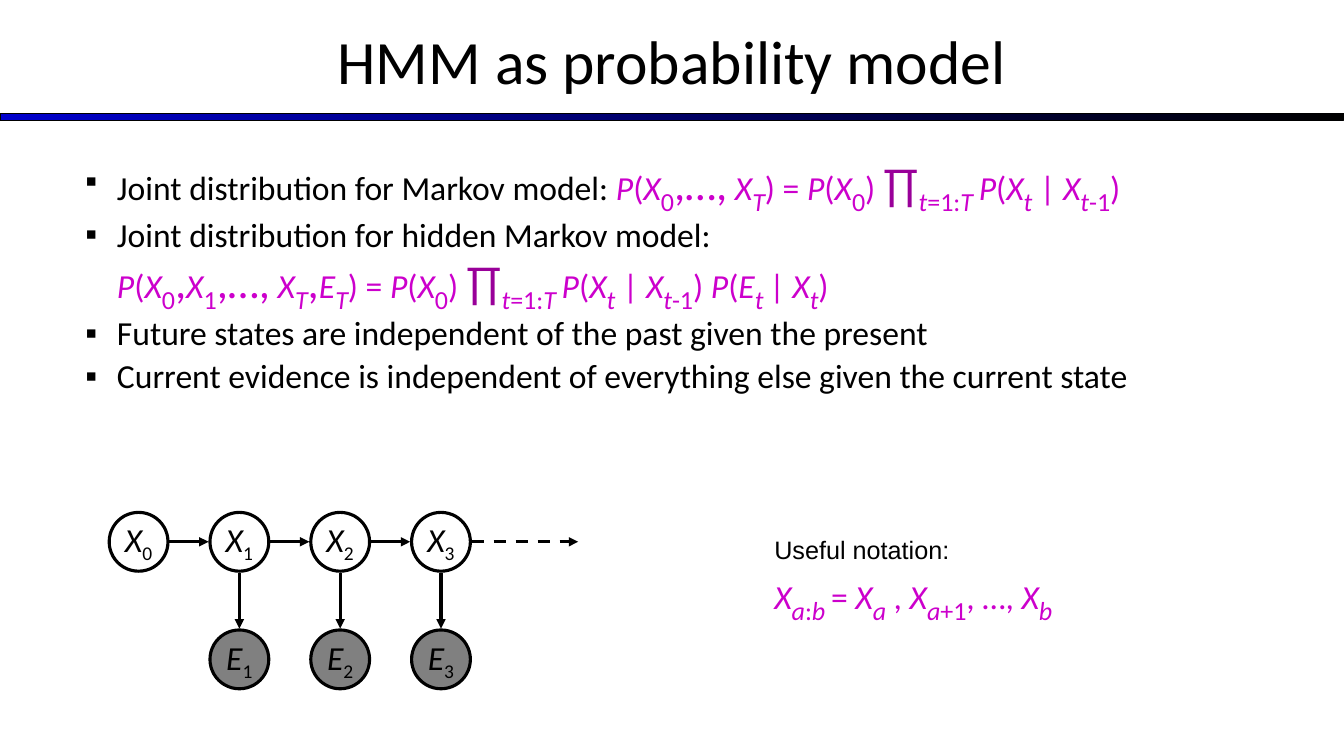
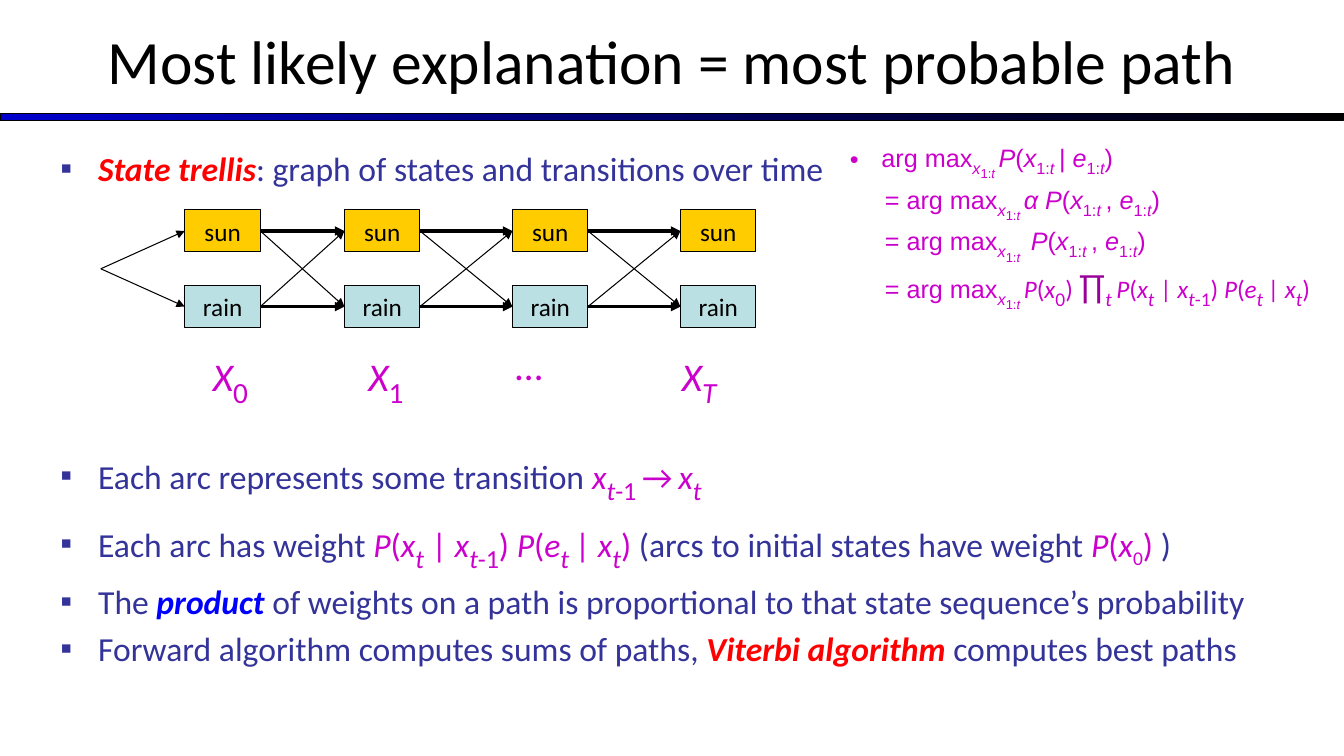
from dataclasses import dataclass, replace
from itertools import groupby, pairwise, product

from lxml.etree import SubElement
from pptx import Presentation
from pptx.dml.color import RGBColor
from pptx.enum.dml import MSO_LINE
from pptx.enum.shapes import MSO_CONNECTOR, MSO_SHAPE
from pptx.enum.text import MSO_ANCHOR, PP_ALIGN
from pptx.oxml.ns import qn
from pptx.util import Pt


@dataclass(frozen=True)
class TextStyle:
    face: str
    size: int
    color: str
    emphasis: bool = False
    math: bool = False
    subscript: int = 0
    deep: int = 0


@dataclass(frozen=True)
class Theme:
    black: str = "000000"
    white: str = "FFFFFF"
    band: str = "0000CC"
    operator: str = "990099"
    evidence: str = "808080"
    sun: str = "FFCC00"
    rain: str = "BBE0E3"
    thin: float = 0.75
    thick: float = 2.25
    title: TextStyle = TextStyle("Calibri", 44, "000000")
    body: TextStyle = TextStyle("Calibri", 24, "000000")
    blue_body: TextStyle = TextStyle("Calibri", 24, "333399")
    term: TextStyle = TextStyle("Calibri", 24, "FF0000", emphasis=True)
    stress: TextStyle = TextStyle("Calibri", 24, "0000FF", emphasis=True)
    math: TextStyle = TextStyle("Calibri", 24, "CC00CC", math=True, subscript=32)
    node: TextStyle = TextStyle("Calibri", 24, "000000", math=True, subscript=24)
    axis: TextStyle = TextStyle("Calibri", 28, "CC00CC", math=True, subscript=36)
    state: TextStyle = TextStyle("Calibri", 18, "000000")
    note: TextStyle = TextStyle("Arial", 18, "000000")
    derivation: TextStyle = TextStyle("Arial", 18, "CC00CC")
    derivation_math: TextStyle = TextStyle(
        "Arial", 18, "CC00CC", math=True, subscript=20, deep=16)
    small_math: TextStyle = TextStyle("Calibri", 18, "CC00CC", math=True, subscript=24)


THEME = Theme()


def math_pieces(text):
    depth, large, letters = 0, False, []
    for letter in text:
        if letter in "{}":
            depth += 1 if letter == "{" else -1
        elif letter in "[]":
            large = letter == "["
        else:
            operator = letter == "∏"
            letters.append((letter, (depth, letter.isalpha(), large or operator, operator)))
    for key, group in groupby(letters, key=lambda item: item[1]):
        yield "".join(letter for letter, _ in group), key


class SlideWriter:
    def __init__(self, deck, theme):
        self.deck = deck
        self.theme = theme
        self.page = None

    def start(self, title):
        self.page = self.deck.slides.add_slide(self.deck.slide_layouts[6])
        band = self.shape(MSO_SHAPE.RECTANGLE, 0, 81, 960, 5, self.theme.white, self.theme.thin)
        band.fill.gradient()
        band.fill.gradient_angle = 0
        for stop, color in zip(band.fill.gradient_stops, (self.theme.band, self.theme.black)):
            stop.color.rgb = RGBColor.from_string(color)
        frame = self.text(0, -2, 960, 90)
        frame.vertical_anchor = MSO_ANCHOR.MIDDLE
        self.paragraph(frame, [title], self.theme.title, align=PP_ALIGN.CENTER)

    def shape(self, kind, left, top, width, height, fill, weight):
        shape = self.page.shapes.add_shape(kind, Pt(left), Pt(top), Pt(width), Pt(height))
        shape.shadow.inherit = False
        shape.fill.solid()
        shape.fill.fore_color.rgb = RGBColor.from_string(fill)
        shape.line.color.rgb = RGBColor.from_string(self.theme.black)
        shape.line.width = Pt(weight)
        return shape

    def labelled(self, kind, left, top, width, height, fill, weight, label, style):
        frame = self.shape(kind, left, top, width, height, fill, weight).text_frame
        frame.word_wrap = False
        frame.vertical_anchor = MSO_ANCHOR.MIDDLE
        self.paragraph(frame, [label], style, align=PP_ALIGN.CENTER)

    def text(self, left, top, width, height):
        box = self.page.shapes.add_textbox(Pt(left), Pt(top), Pt(width), Pt(height))
        box.text_frame.word_wrap = True
        return box.text_frame

    def paragraph(self, frame, spans, style, bullet=None, margin=0, hanging=0,
                  before=0, spacing=None, align=PP_ALIGN.LEFT):
        first = not frame.paragraphs[0].runs
        para = frame.paragraphs[0] if first else frame.add_paragraph()
        para.alignment = align
        para.line_spacing = spacing
        para.space_before = Pt(0 if first else before)
        properties = para._p.get_or_add_pPr()
        properties.set("marL", str(Pt(margin)))
        properties.set("indent", str(Pt(-hanging)))
        if bullet:
            color = SubElement(properties, qn("a:buClr"))
            SubElement(color, qn("a:srgbClr"), val=style.color)
            SubElement(properties, qn("a:buFont"), typeface="Arial")
            SubElement(properties, qn("a:buChar"), char=bullet)
        self.set_font(para.font, style)
        for span in spans:
            text, span_style = (span, style) if isinstance(span, str) else span
            if text == "\n":
                para.add_line_break()
            elif span_style.math:
                self.formula(para, text, span_style, style)
            else:
                self.run(para, text, span_style, style)

    def set_font(self, font, style, base=None):
        if base is None or style.face != base.face:
            font.name = style.face
        if base is None or style.size != base.size:
            font.size = Pt(style.size)
        if base is None or style.color != base.color:
            font.color.rgb = RGBColor.from_string(style.color)
        if style.emphasis:
            font.bold = font.italic = True

    def run(self, para, text, style, base):
        run = para.add_run()
        run.text = text
        self.set_font(run.font, style, base)
        return run

    def formula(self, para, text, style, base):
        sizes = (style.size, style.subscript, style.deep)
        for piece, (depth, italic, large, operator) in math_pieces(text):
            size = style.subscript if large else sizes[depth]
            color = self.theme.operator if operator else style.color
            run = self.run(para, piece, replace(style, size=size, color=color), base)
            if italic:
                run.font.italic = True
            if depth:
                run._r.get_or_add_rPr().set("baseline", str(-25000 * depth))

    def arrow(self, start, end, weight, dashed=False):
        line = self.page.shapes.add_connector(
            MSO_CONNECTOR.STRAIGHT, *(Pt(value) for value in (*start, *end)))
        line.line.color.rgb = RGBColor.from_string(self.theme.black)
        line.line.width = Pt(weight)
        if dashed:
            line.line.dash_style = MSO_LINE.DASH
        SubElement(line.line._get_or_add_ln(), qn("a:tailEnd"), type="triangle")
        SubElement(line._element.spPr, qn("a:effectLst"))


def draw_chain(writer):
    theme = writer.theme
    size, step, left, state_top, evidence_top = 42, 72, 78, 366, 450
    middle = state_top + size / 2

    def node(name, index, top, fill):
        writer.labelled(MSO_SHAPE.OVAL, left + step * index, top, size, size,
                        fill, theme.thick, f"{name}{{{index}}}", theme.node)

    for index in range(4):
        x = left + step * index
        last = index == 3
        node("X", index, state_top, theme.white)
        writer.arrow((x + size + 1, middle), (x + (335 - 0 if last else step - 1)
                     if not last else 413, middle), theme.thick, dashed=last)
        if index:
            center = x + size / 2
            node("E", index, evidence_top, theme.evidence)
            writer.arrow((center, state_top + size + 1), (center, evidence_top - 1), theme.thick)


def draw_trellis(writer):
    theme = writer.theme
    width, height = 54, 30
    columns = (132, 246, 366, 486)
    rows = (("sun", 150, theme.sun), ("rain", 204, theme.rain))
    middles = [top + height / 2 for _, top, _ in rows]
    for left, (label, top, fill) in product(columns, rows):
        writer.labelled(MSO_SHAPE.RECTANGLE, left, top, width, height,
                        fill, theme.thin, label, theme.state)
    for (left, right), start, end in product(pairwise(columns), middles, middles):
        weight = theme.thick if start == end else theme.thin
        writer.arrow((left + width, start), (right, end), weight)
    for middle in middles:
        writer.arrow((72, 192), (columns[0], middle), theme.thin)
    for left, label in zip((145, 256, 361, 480), ("X{0}", "X{1}", "…", "X{T}")):
        writer.paragraph(writer.text(left, 240, 60, 41), [label], theme.axis)


def probability_model(writer):
    theme = writer.theme
    writer.start("HMM as probability model")
    markov = "P(X{0}[,…,] X{T}) = P(X{0}) ∏{t=1:T }P(X{t} | X{t-1})"
    hidden = ("P(X{0}[,]X{1}[,…,] X{T}[,]E{T}) = P(X{0}) ∏{t=1:T }"
              "P(X{t} | X{t-1}) P(E{t }| X{t})")
    frame = writer.text(18, 108, 894, 190)
    for spans in (
        ["Joint distribution for Markov model: ", (markov, theme.math)],
        ["Joint distribution for hidden Markov model:", "\n", (hidden, theme.math)],
        ["Future states are independent of the past given the present"],
        ["Current evidence is independent of everything else given the current state"],
    ):
        writer.paragraph(frame, spans, theme.body, bullet="▪", margin=58.5, hanging=22.5,
                         before=5, spacing=0.9)
    draw_chain(writer)
    notation = writer.text(546, 378, 270, 68)
    writer.paragraph(notation, ["Useful notation:"], theme.note)
    writer.paragraph(notation, ["X{a:b }= X{a} , X{a+1}, …, X{b}"], theme.math)


def probable_path(writer):
    theme = writer.theme
    writer.start("Most likely explanation = most probable path")
    bullets = dict(style=theme.blue_body, bullet="▪", margin=27, hanging=27, before=5)
    writer.paragraph(writer.text(36, 102, 570, 40), [
        ("State trellis", theme.term), ": graph of states and transitions over time"], **bullets)
    frame = writer.text(36, 314, 912, 176)
    for spans in (
        ["Each arc represents some transition ", ("x{t-1 }→{ }x{t}", theme.math)],
        ["Each arc has weight ", ("P(x{t} | x{t-1}) P(e{t }| x{t}) ", theme.math),
         "(arcs to initial states have weight ", ("P(x{0}) ", replace(theme.math, subscript=24)),
         ")"],
        ["The ", ("product", theme.stress),
         " of weights on a path is proportional to that state sequence’s probability"],
        ["Forward algorithm computes sums of paths, ", ("Viterbi algorithm ", theme.term),
         "computes best paths"],
    ):
        writer.paragraph(frame, spans, **bullets)
    derivation = writer.text(600, 96, 360, 145)
    path = "{x{1:t }}"
    steps = (
        ("arg max", (path + "P(x{1:t }| e{1:t})", theme.derivation_math)),
        ("= arg max", (path + "α P(x{1:t }, e{1:t})", theme.derivation_math)),
        ("= arg max", (path + " P(x{1:t }, e{1:t})", theme.derivation_math)),
        ("= arg max", (path, theme.derivation_math),
         ("P(x{0}) ∏{t }P(x{t} | x{t-1}) P(e{t }| x{t})", theme.small_math)),
    )
    for index, spans in enumerate(steps):
        writer.paragraph(derivation, spans, theme.derivation, bullet=None if index else "•",
                         margin=25 if index else 22.5, hanging=0 if index else 22.5)
    draw_trellis(writer)


def main():
    deck = Presentation()
    deck.slide_width, deck.slide_height = Pt(960), Pt(540)
    writer = SlideWriter(deck, THEME)
    probability_model(writer)
    probable_path(writer)
    deck.save("out.pptx")


if __name__ == "__main__":
    main()
